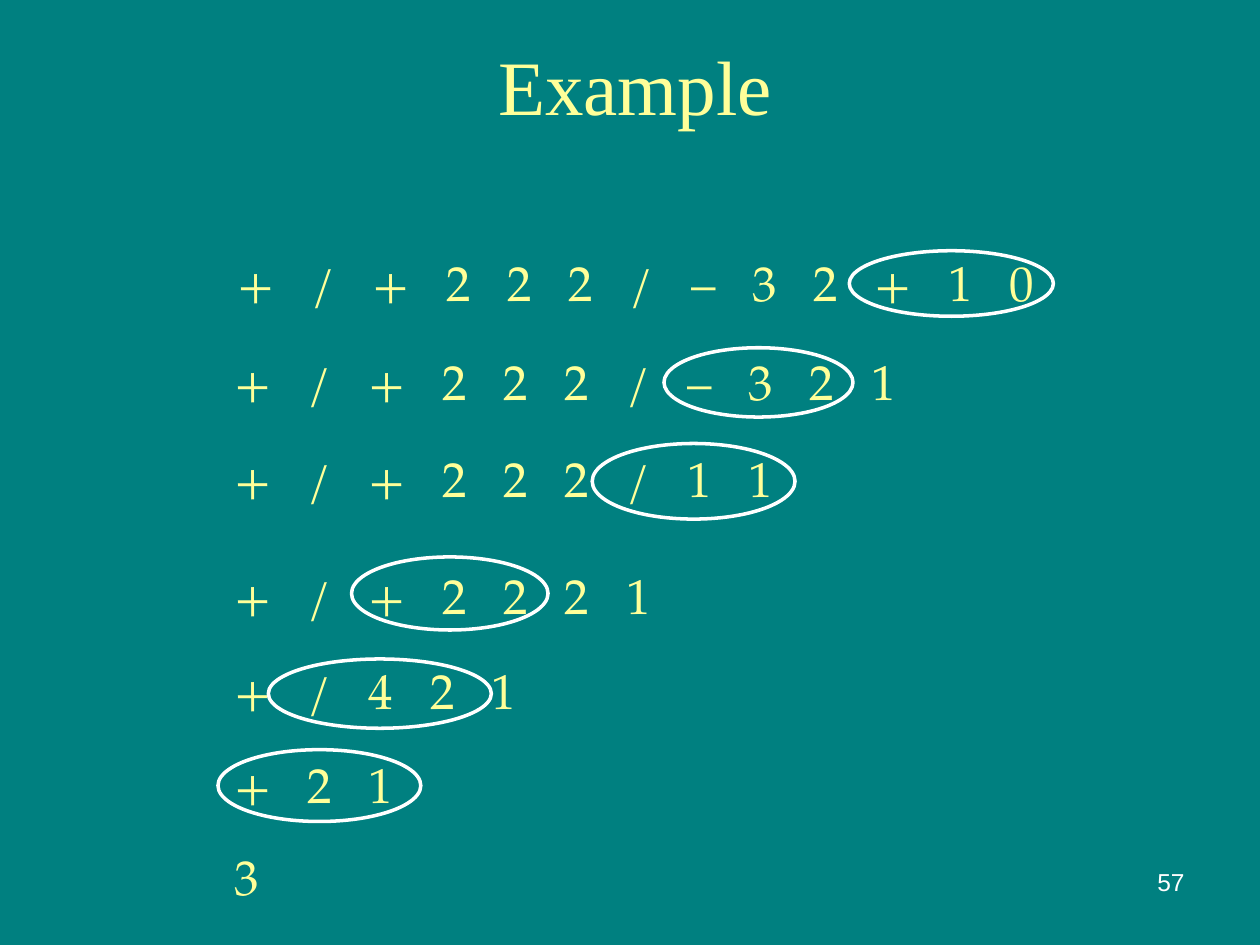
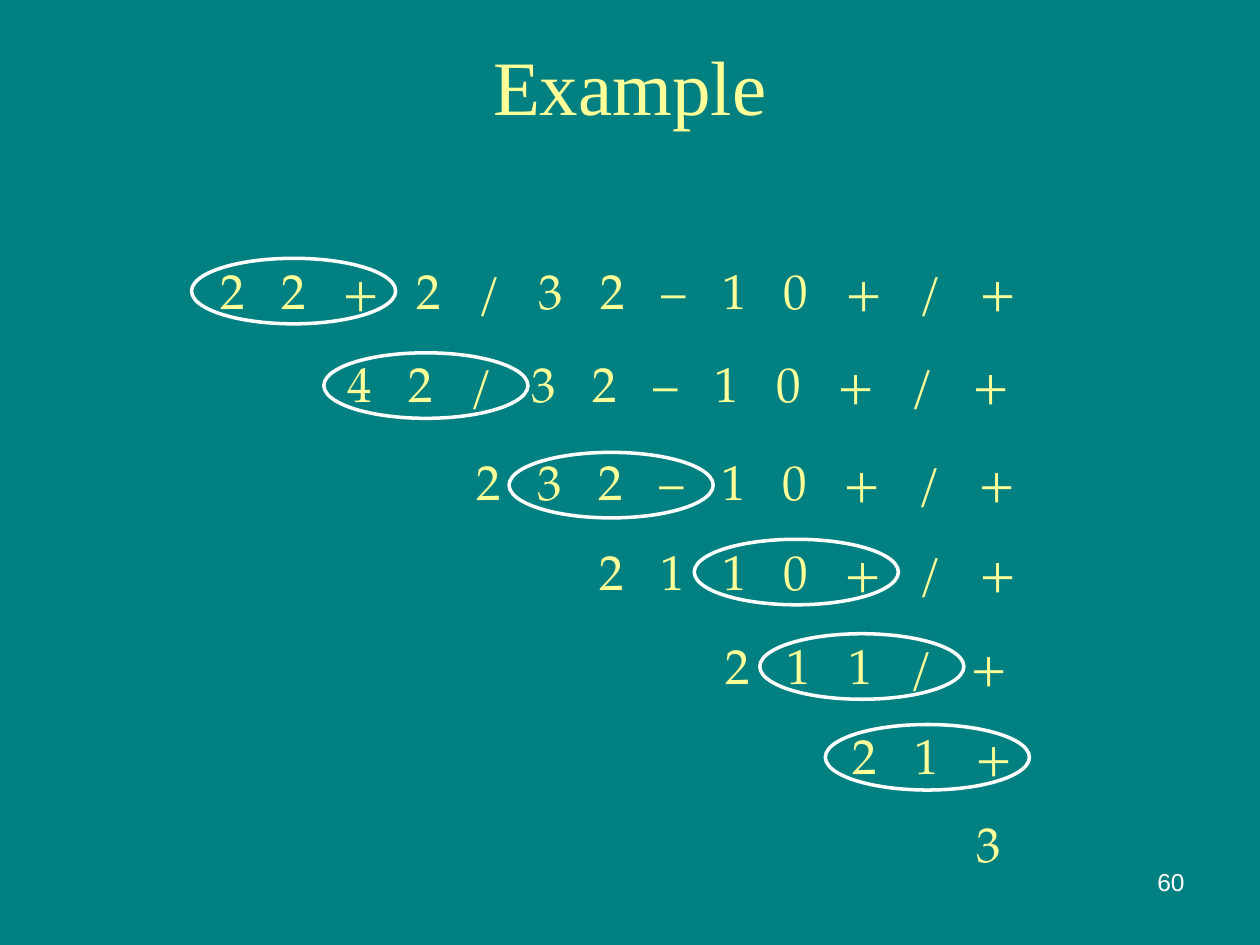
"""Build two slides that evaluate a prefix and a postfix expression step by step."""
from itertools import accumulate

from lxml.etree import SubElement
from pptx import Presentation
from pptx.dml.color import RGBColor
from pptx.enum.shapes import MSO_SHAPE
from pptx.enum.text import MSO_ANCHOR, MSO_AUTO_SIZE, PP_ALIGN
from pptx.oxml.ns import qn
from pptx.util import Inches, Pt

TEAL, YELLOW, WHITE = "008080", "FFFF99", "FFFFFF"
TITLE_FONT, EXPRESSION_FONT, NUMBER_FONT = "Times New Roman", "TeX Gyre Pagella", "Arial"
TOKEN_WIDTH, PLUS_WIDTH, TOKEN_GAP = 14, 21, 21

PREFIX_STEPS = [
    ("+ / + 2 2 2 / – 3 2 + 1 0", (1.79, 2.01, 7.01, 0.52), 0.9),
    ("+ / + 2 2 2 / – 3 2 1", (1.76, 2.74, 5.73, 0.57), 1.0),
    ("+ / + 2 2 2 / 1 1", (1.76, 3.51, 4.85, 0.57), 1.0),
    ("+ / + 2 2 2 1", (1.76, 4.44, 3.8, 0.57), 1.0),
    ("+ / 4 2 1", (1.76, 5.19, 2.98, 0.57), 1.0),
    ("+ 2 1", (1.76, 5.94, 1.96, 0.57), 1.0),
    ("3", (1.76, 6.67, 0.4, 0.57), 1.0),
]
PREFIX_RINGS = [
    (6.74, 1.99, 1.62, 0.52),
    (5.27, 2.76, 1.5, 0.55),
    (4.7, 3.52, 1.61, 0.6),
    (2.79, 4.42, 1.56, 0.58),
    (2.13, 5.23, 1.77, 0.55),
    (1.73, 5.95, 1.61, 0.57),
]
POSTFIX_STEPS = [
    ("2 2 + 2 / 3 2 – 1 0 + / +", (1.65, 2.07, 6.85, 0.52), 0.9),
    ("4 2 / 3 2 – 1 0 + / +", (2.66, 2.81, 5.8, 0.52), 0.9),
    ("2 3 2 – 1 0 + / +", (3.68, 3.59, 4.96, 0.52), 0.9),
    ("2 1 1 0 + / +", (4.66, 4.3, 3.99, 0.52), 0.9),
    ("2 1 1 / +", (5.66, 5.05, 2.92, 0.52), 0.9),
    ("2 1 +", (6.67, 5.76, 1.98, 0.52), 0.9),
    ("3", (7.65, 6.46, 0.67, 0.52), 0.9),
]
POSTFIX_RING_CORNERS = [
    (1.52, 2.05), (2.57, 2.8), (4.04, 3.59), (5.51, 4.28), (6.03, 5.03), (6.55, 5.75),
]
POSTFIX_RINGS = [(left, top, 1.62, 0.52) for left, top in POSTFIX_RING_CORNERS]


def color(value):
    """Turn a hex string into a colour."""
    return RGBColor.from_string(value)


def write_text(shape, text, *, size, font, fill, align=PP_ALIGN.LEFT, line_spacing=1.0):
    """Write one formatted paragraph into a shape and return the paragraph."""
    shape.text_frame.word_wrap = True
    paragraph = shape.text_frame.paragraphs[0]
    paragraph.alignment = align
    paragraph.line_spacing = line_spacing
    run = paragraph.add_run()
    run.text = text
    run.font.size = Pt(size)
    run.font.name = font
    run.font.color.rgb = color(fill)
    return paragraph


def add_text_box(slide, box, text, **text_format):
    """Add a text box and return its paragraph."""
    shape = slide.shapes.add_textbox(*map(Inches, box))
    return write_text(shape, text, **text_format)


def add_tab_stops(paragraph, tokens):
    """Place a tab stop at the start of every token after the first."""
    if len(tokens) < 2:
        return
    tab_list = SubElement(paragraph._p.get_or_add_pPr(), qn("a:tabLst"))
    advances = [(PLUS_WIDTH if token == "+" else TOKEN_WIDTH) + TOKEN_GAP for token in tokens[:-1]]
    for position in accumulate(advances):
        SubElement(tab_list, qn("a:tab"), pos=str(Pt(position)), algn="l")


def add_expression(slide, expression, box, line_spacing):
    """Add one step of the evaluation with evenly spaced tokens."""
    tokens = expression.split()
    paragraph = add_text_box(slide, box, "\t".join(tokens), size=28, font=EXPRESSION_FONT,
                             fill=YELLOW, line_spacing=line_spacing)
    add_tab_stops(paragraph, tokens)


def add_ring(slide, box):
    """Circle the operation that is evaluated next."""
    ring = slide.shapes.add_shape(MSO_SHAPE.OVAL, *map(Inches, box))
    ring.shadow.inherit = False
    ring.fill.background()
    ring.line.color.rgb = color(WHITE)
    ring.line.width = Pt(2)


def format_title(slide, text, width):
    """Place and format the slide title."""
    title = slide.shapes.title
    title.left, title.top, title.width, title.height = map(Inches, (0.25, 0.17, width, 1))
    title.text_frame.auto_size = MSO_AUTO_SIZE.NONE
    title.text_frame.vertical_anchor = MSO_ANCHOR.MIDDLE
    write_text(title, text, size=44, font=TITLE_FONT, fill=YELLOW, align=PP_ALIGN.CENTER)


def add_example_slide(presentation, number, title_width, steps, rings):
    """Add a slide with its title, steps, rings and number."""
    slide = presentation.slides.add_slide(presentation.slide_layouts.get_by_name("Title Only"))
    format_title(slide, "Example", title_width)
    for expression, box, line_spacing in steps:
        add_expression(slide, expression, box, line_spacing)
    for box in rings:
        add_ring(slide, box)
    add_text_box(slide, (7.17, 6.83, 2.33, 0.52), str(number), size=14, font=NUMBER_FONT,
                 fill=WHITE, align=PP_ALIGN.RIGHT)


def main():
    """Build and save the presentation."""
    presentation = Presentation()
    presentation.slide_width, presentation.slide_height = Inches(10), Inches(7.5)
    background = presentation.slide_master.background.fill
    background.solid()
    background.fore_color.rgb = color(TEAL)
    add_example_slide(presentation, 57, 9.58, PREFIX_STEPS, PREFIX_RINGS)
    add_example_slide(presentation, 60, 9.5, POSTFIX_STEPS, POSTFIX_RINGS)
    presentation.save("out.pptx")


if __name__ == "__main__":
    main()
